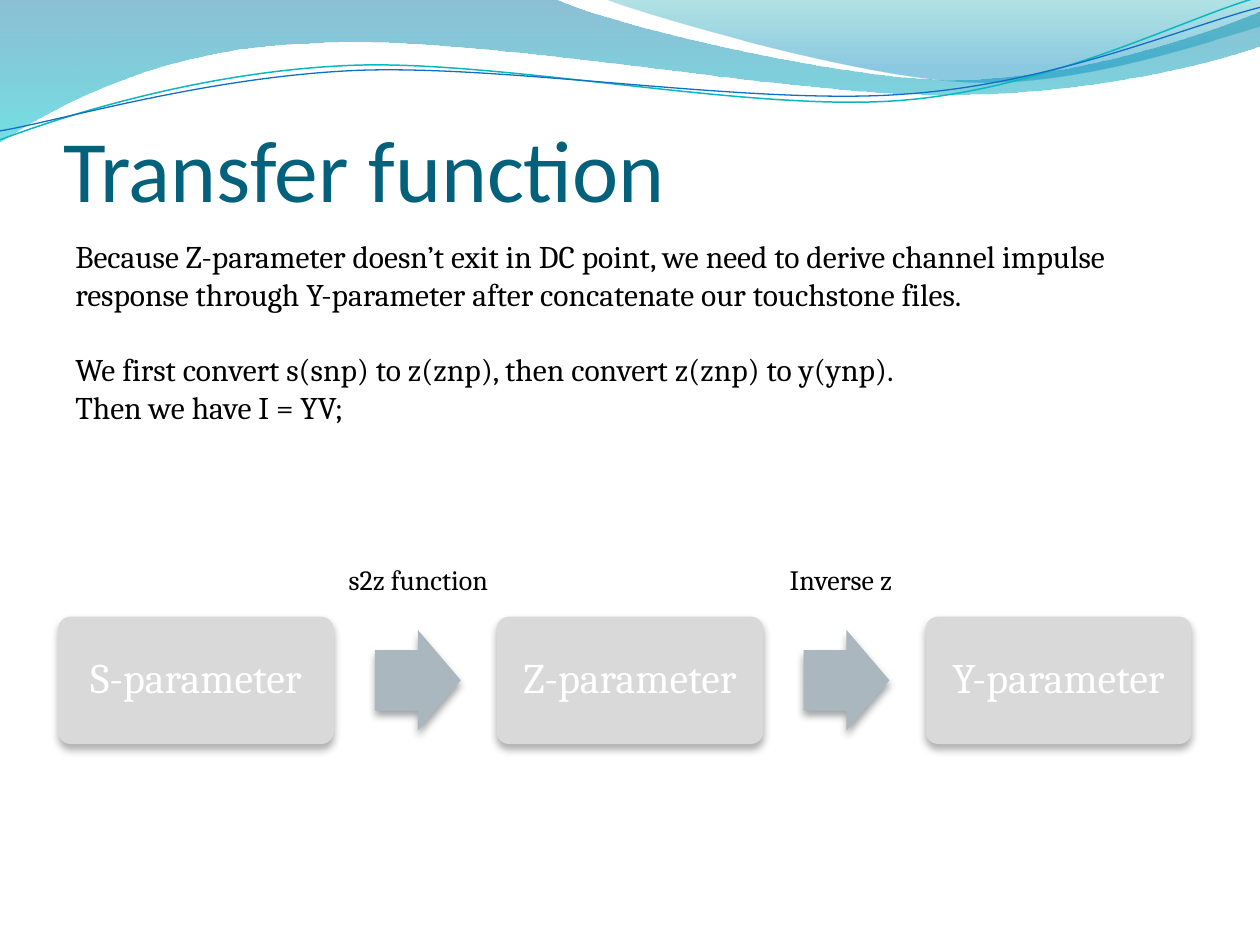
from lxml.etree import SubElement
from pptx import Presentation
from pptx.dml.color import RGBColor
from pptx.enum.shapes import MSO_SHAPE
from pptx.enum.text import MSO_ANCHOR, MSO_AUTO_SIZE, PP_ALIGN
from pptx.oxml.ns import qn
from pptx.util import Cm, Pt

STEP = 8.64

BANDS = [
    ([(0, 0), (11.18, -0.03),
      (12.09, 0.43, 16.87, 1.6, 19.25, 1.6),
      (21.67, 1.6, 24.33, 0.66, 25.4, 0.23),
      (25.43, 0.91),
      (24.97, 1.12, 22.1, 1.93, 18.95, 1.91),
      (15.8, 1.91, 9.7, 0.71, 6.53, 0.86),
      (3.28, 0.91, 1.17, 2.11, -0.03, 2.87),
      (0, 0)],
     [(0, "0074A1", 45), (1, "00C6CF", 55)]),
    ([(12.17, -0.03),
      (12.93, 0.28, 17.32, 1.57, 19.53, 1.65),
      (21.74, 1.75, 24.41, 0.81, 25.4, 0.53),
      (25.4, 0), (12.17, -0.03)],
     [(0, "00A1A9", 30), (0.8, "008BBF", 45)]),
]
STRANDS = [
    ([(0, 2.82),
      (1.22, 2.36, 4.01, 1.45, 7.04, 1.32),
      (10.03, 1.19, 15.06, 2.26, 18.11, 2.03),
      (21.16, 1.8, 23.83, 0.38, 25.35, -0.05)], "0AB8BF", 0.85),
    ([(0, 2.64),
      (1.19, 2.44, 4.17, 1.55, 7.19, 1.42),
      (10.24, 1.3, 15.16, 2.13, 18.21, 1.9),
      (21.23, 1.7, 23.9, 0.53, 25.4, 0.15)], "0F6FC6", 0.75),
]
BODY = [
    ("Because Z-parameter doesn’t exit in DC point, we need to derive channel "
     "impulse response through Y-parameter after concatenate our touchstone files.", 0),
    ("We first convert s(snp) to z(znp), then convert z(znp) to y(ynp).", 21.7),
    ("Then we have I = YV;", 0),
]


def rgb(value):
    return RGBColor.from_string(value)


def apply(target, formats):
    for name, value in formats.items():
        setattr(target, name, value)


def write(p, text, size, color="000000", font="Cambria", **formats):
    r = p.add_run()
    r.text = text
    apply(r.font, {"size": Pt(size), "name": font})
    r.font.color.rgb = rgb(color)
    apply(p, formats)


def add_outline(s, steps, close):
    anchors = [(Cm(step[-2]), Cm(step[-1])) for step in steps]
    builder = s.shapes.build_freeform(*anchors[0])
    builder.add_line_segments(anchors[1:], close=close)
    sp = builder.convert_to_shape()
    sp.shadow.inherit = False
    segments = list(sp.element.spPr.iter(qn("a:lnTo")))
    for segment, step in zip(segments, steps[1:]):
        if len(step) == 6:
            curve = segment.makeelement(qn("a:cubicBezTo"))
            for x, y in zip(step[::2], step[1::2]):
                SubElement(curve, qn("a:pt"), x=str(Cm(x) - sp.left), y=str(Cm(y) - sp.top))
            segment.getparent().replace(segment, curve)
    return sp


def add_band(s, steps, stops):
    sp = add_outline(s, steps, True)
    sp.line.fill.background()
    sp.fill.gradient()
    sp.fill.gradient_angle = 270
    for stop, (position, color, _) in zip(sp.fill.gradient_stops, stops):
        stop.position = position
        stop.color.rgb = rgb(color)
    for node, (_, _, opacity) in zip(sp.element.spPr.iter(qn("a:srgbClr")), stops):
        SubElement(node, qn("a:alpha"), val=str(opacity * 1000))


def add_strand(s, steps, color, width):
    sp = add_outline(s, steps, False)
    sp.fill.background()
    sp.line.color.rgb = rgb(color)
    sp.line.width = Pt(width)


def add_block(s, kind, box, adjustments, color, shadow):
    sp = s.shapes.add_shape(kind, *map(Cm, box))
    for i, value in enumerate(adjustments):
        sp.adjustments[i] = value
    sp.fill.solid()
    sp.fill.fore_color.rgb = rgb(color)
    sp.line.fill.background()
    sp.shadow.inherit = False
    effects = sp.element.spPr.find(qn("a:effectLst"))
    outer = SubElement(effects, qn("a:outerShdw"), blurRad=str(Pt(4.5)),
                       dist=str(Pt(3)), dir="5400000", rotWithShape="0")
    tint = SubElement(outer, qn("a:srgbClr"), val=shadow)
    SubElement(tint, qn("a:alpha"), val="48000")
    return sp


def add_stage(s, text, left, width):
    sp = add_block(s, MSO_SHAPE.ROUNDED_RECTANGLE, (left, 12.43, width, 2.57),
                   [0.1], "D9D9D9", "5A5A5A")
    tf = sp.text_frame
    apply(tf, {"word_wrap": True, "vertical_anchor": MSO_ANCHOR.MIDDLE})
    write(tf.paragraphs[0], text, 24, "FFFFFF",
          alignment=PP_ALIGN.CENTER, line_spacing=0.9)


def add_arrow(s, left):
    add_block(s, MSO_SHAPE.RIGHT_ARROW, (left, 12.7, 1.73, 2.03),
              [0.6, 0.5], "ABB7BF", "3C4043")


def add_text(s, box, lines, size):
    tf = s.shapes.add_textbox(*map(Cm, box)).text_frame
    tf.word_wrap = True
    for i, (text, gap) in enumerate(lines):
        p = tf.add_paragraph() if i else tf.paragraphs[0]
        write(p, text, size, space_before=Pt(gap))


def set_title(s, text):
    title = s.shapes.title
    apply(title, {"left": Cm(1.27), "top": Cm(1.25),
                  "width": Cm(22.86), "height": Cm(3.18)})
    tf = title.text_frame
    apply(tf, {"margin_left": 0, "margin_right": 0, "margin_bottom": 0,
               "margin_top": Cm(0.13), "word_wrap": True,
               "auto_size": MSO_AUTO_SIZE.NONE,
               "vertical_anchor": MSO_ANCHOR.BOTTOM})
    write(tf.paragraphs[0], text, 50, "04617B", "Calibri", alignment=PP_ALIGN.LEFT)


def main():
    prs = Presentation()
    apply(prs, {"slide_width": Cm(25.4), "slide_height": Cm(19.05)})
    s = prs.slides.add_slide(prs.slide_layouts[5])
    for band in BANDS:
        add_band(s, *band)
    for strand in STRANDS:
        add_strand(s, *strand)
    set_title(s, "Transfer function")
    stages = [("S-parameter", 1.17, 5.56), ("Z-parameter", 10.01, 5.38),
              ("Y-parameter", 18.66, 5.36)]
    for stage in stages:
        add_stage(s, *stage)
    for i, (label, left) in enumerate([("s2z function", 6.78), ("Inverse z", 15.67)]):
        add_arrow(s, 7.56 + i * STEP)
        add_text(s, (left, 11.22, 3.61, 0.94), [(label, 0)], 16)
    add_text(s, (1.27, 4.65, 22.43, 4.88), BODY, 18)
    prs.save("out.pptx")


if __name__ == "__main__":
    main()
